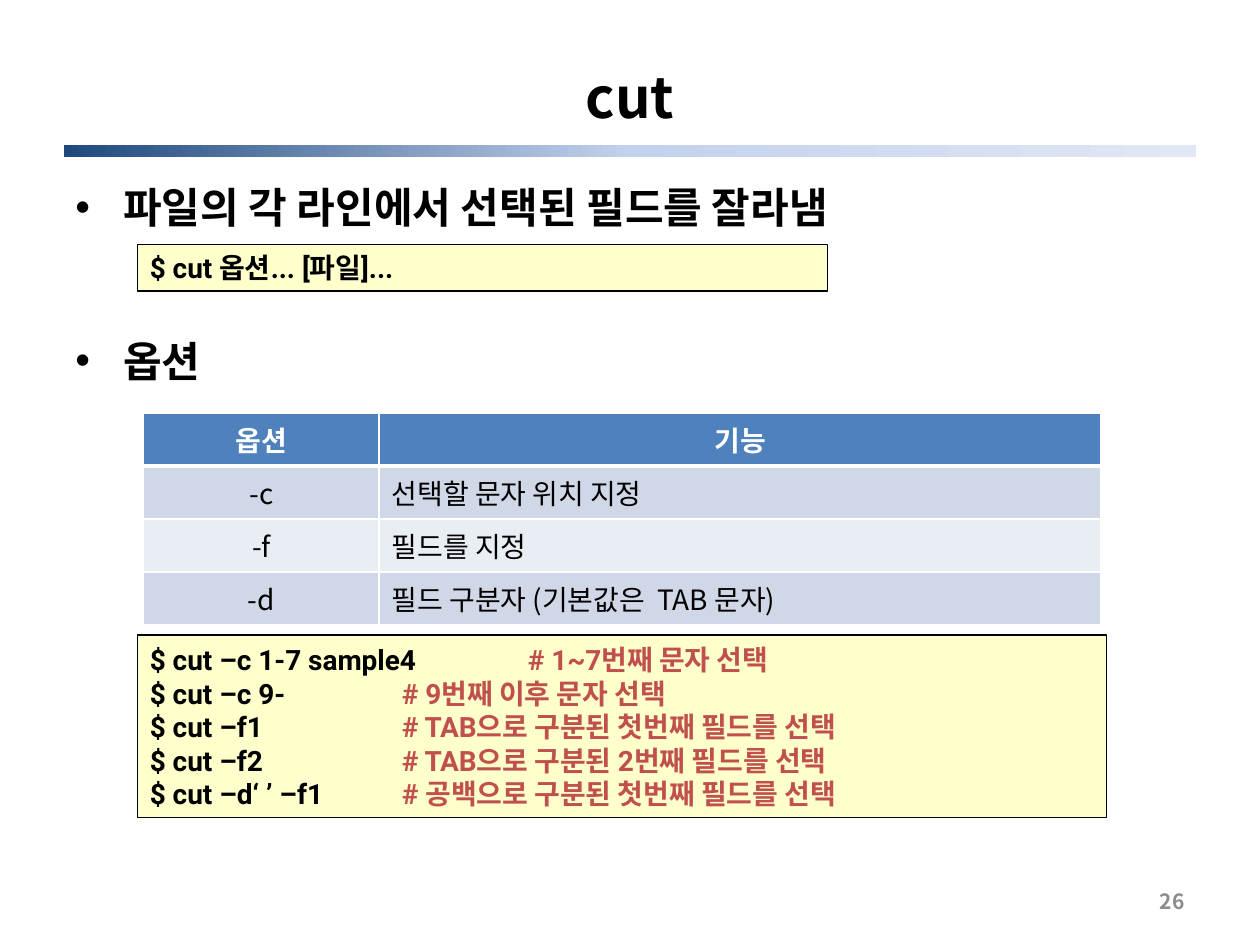
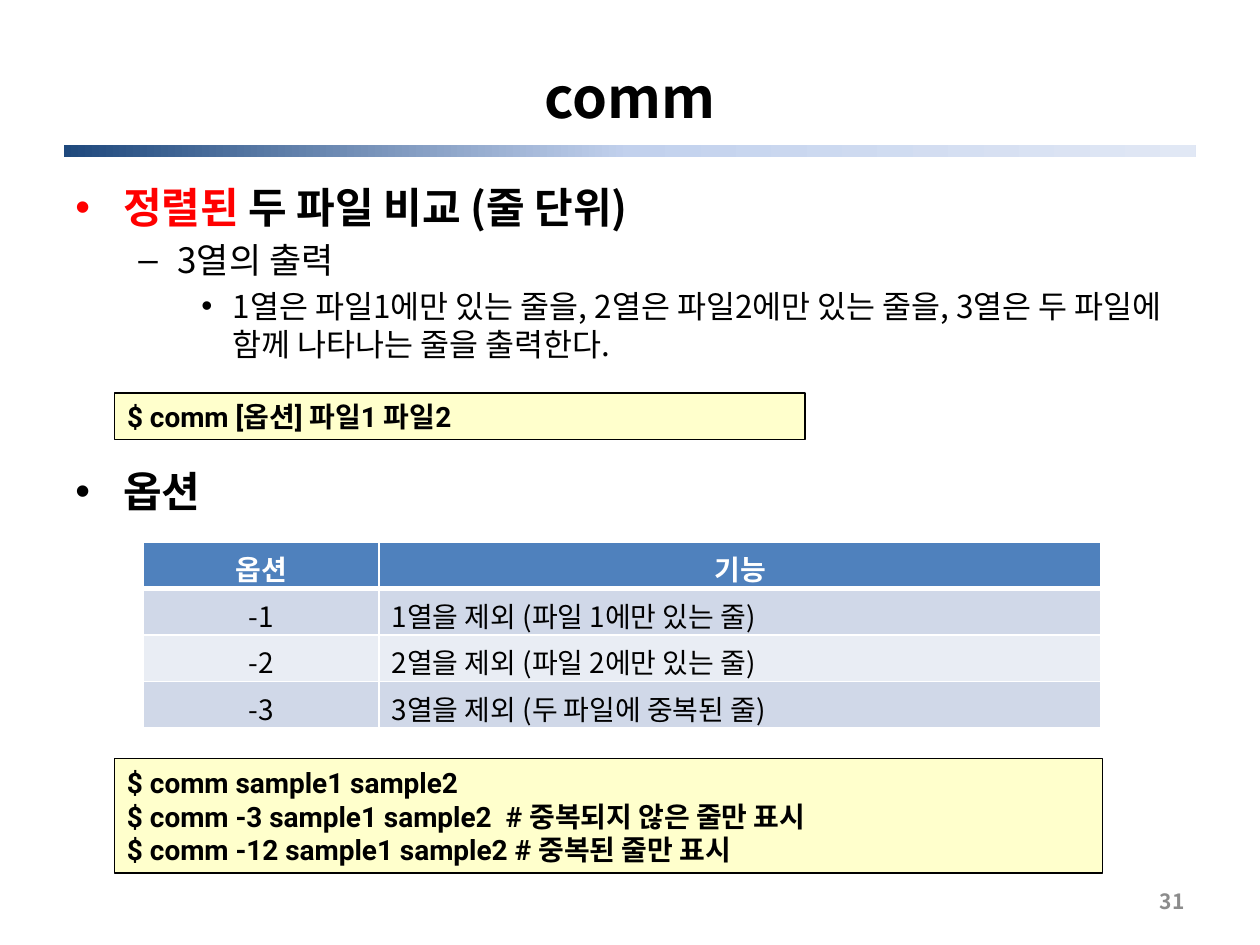
from lxml.etree import SubElement
from pptx import Presentation
from pptx.dml.color import RGBColor
from pptx.enum.shapes import MSO_SHAPE as Preset
from pptx.enum.text import MSO_ANCHOR as Anchor, PP_ALIGN as Align
from pptx.oxml import parse_xml
from pptx.oxml.ns import nsdecls, qn
from pptx.util import Inches, Pt

COLORS = {
    "text": "000000", "white": "FFFFFF", "alert": "FF0000", "comment": "C0504D",
    "code": "FFFFCC", "number": "8C8C8C", "header": "4F81BD",
    "odd_row": "D0D8E8", "even_row": "E9EDF4",
    "band_start": "1F497D", "band_middle": "C2D1ED", "band_end": "E1E8F5",
}
SANS, CODE = "Noto Sans CJK KR", "Roboto"
LEVELS = [
    {"margin": 0.38, "hang": 0.38, "size": 24, "bold": True, "mark": "•"},
    {"margin": 0.81, "hang": 0.31, "size": 20, "bold": False, "mark": "–"},
    {"margin": 1.25, "hang": 0.25, "size": 18, "bold": False, "mark": "•"},
]
SECTION_GAP = 59


def rgb(name):
    return RGBColor.from_string(COLORS[name])


class CommandDeck:
    def __init__(self):
        self.deck = Presentation()
        self.deck.slide_width, self.deck.slide_height = Inches(10), Inches(7.5)
        self.slide = None

    def start_slide(self, title, number):
        self.slide = self.deck.slides.add_slide(self.deck.slide_layouts[6])
        self.band()
        self.label(title, (0.5, 0.3, 9, 0.93), Align.CENTER, size=32)
        self.label(number, (7.17, 6.95, 2.33, 0.4), Align.RIGHT, size=12, color="number")

    def add_text(self, paragraph, text, size=16, color="text", bold=True, font=SANS):
        run = paragraph.add_run()
        run.text = text
        for name, value in {"name": font, "size": Pt(size), "bold": bold}.items():
            setattr(run.font, name, value)
        run.font.color.rgb = rgb(color)
        SubElement(run.font._element, qn("a:ea"), typeface=SANS)

    def frame(self, box, anchor):
        frame = self.slide.shapes.add_textbox(*map(Inches, box)).text_frame
        frame.word_wrap, frame.vertical_anchor = True, anchor
        return frame

    def label(self, text, box, align, **style):
        paragraph = self.frame(box, Anchor.MIDDLE).paragraphs[0]
        paragraph.alignment = align
        self.add_text(paragraph, text, **style)

    def rectangle(self, box):
        shape = self.slide.shapes.add_shape(Preset.RECTANGLE, *map(Inches, box))
        shape.shadow.inherit = False
        return shape

    def band(self):
        band = self.rectangle((0.51, 1.15, 8.98, 0.1))
        band.line.fill.background()
        band.fill.gradient()
        band.fill.gradient_angle = 0
        stops = band._element.spPr.find(qn("a:gradFill")).find(qn("a:gsLst"))
        for stop in list(stops):
            stops.remove(stop)
        for position, name in enumerate(("band_start", "band_middle", "band_end")):
            stop = SubElement(stops, qn("a:gs"), pos=str(position * 50000))
            SubElement(stop, qn("a:srgbClr"), val=COLORS[name])

    def bullets(self, items):
        frame = self.frame((0.5, 1.39, 9, 5.31), Anchor.TOP)
        for index, (depth, runs) in enumerate(items):
            level = LEVELS[depth]
            paragraph = frame.add_paragraph() if index else frame.paragraphs[0]
            if index:
                new_section = depth == 0
                paragraph.space_before = Pt(SECTION_GAP if new_section else level["size"] * 0.2)
            properties = paragraph._p.get_or_add_pPr()
            properties.set("marL", str(Inches(level["margin"])))
            properties.set("indent", str(-Inches(level["hang"])))
            SubElement(properties, qn("a:buFont"), typeface="Arial")
            SubElement(properties, qn("a:buChar"), char=level["mark"])
            for text, color in runs:
                self.add_text(paragraph, text, level["size"], color, level["bold"])

    def code(self, box, lines, tab_stops=()):
        panel = self.rectangle(box)
        panel.fill.solid()
        panel.fill.fore_color.rgb = rgb("code")
        panel.line.color.rgb, panel.line.width = rgb("text"), Pt(0.75)
        frame = panel.text_frame
        frame.word_wrap, frame.vertical_anchor = True, Anchor.MIDDLE
        for index, (command, comment) in enumerate(lines):
            paragraph = frame.add_paragraph() if index else frame.paragraphs[0]
            paragraph.alignment = Align.LEFT
            if tab_stops:
                stops = SubElement(paragraph._p.get_or_add_pPr(), qn("a:tabLst"))
                for stop in tab_stops:
                    SubElement(stops, qn("a:tab"), pos=str(Inches(stop)), algn="l")
            self.add_text(paragraph, command, font=CODE)
            if comment:
                self.add_text(paragraph, comment, color="comment", font=CODE)

    def borders(self, cell, top, bottom):
        properties = cell._tc.get_or_add_tcPr()
        for index, (side, width) in enumerate({"L": 1, "R": 1, "T": top, "B": bottom}.items()):
            properties.insert(index, parse_xml(
                f'<a:ln{side} {nsdecls("a")} w="{Pt(width)}"><a:solidFill>'
                f'<a:srgbClr val="{COLORS["white"]}"/></a:solidFill></a:ln{side}>'))

    def options(self, top, row_height, entries):
        rows = [("옵션", "기능"), *entries]
        table = self.slide.shapes.add_table(
            len(rows), 2, Inches(1.14), Inches(top), Inches(7.6),
            Inches(row_height * len(rows))).table
        for column, width in zip(table.columns, (1.87, 5.73)):
            column.width = Inches(width)
        for r, row in enumerate(rows):
            table.rows[r].height = Inches(row_height)
            fill = "header" if r == 0 else "odd_row" if r % 2 else "even_row"
            for c, text in enumerate(row):
                cell = table.cell(r, c)
                cell.vertical_anchor = Anchor.MIDDLE
                cell.fill.solid()
                cell.fill.fore_color.rgb = rgb(fill)
                self.borders(cell, 3 if r == 1 else 1, 3 if r == 0 else 1)
                paragraph = cell.text_frame.paragraphs[0]
                paragraph.alignment = Align.LEFT if r and c else Align.CENTER
                paragraph.space_before = Pt(3.2)
                self.add_text(paragraph, text, color="text" if r else "white", bold=r == 0)


def main():
    deck = CommandDeck()

    deck.start_slide("cut", "26")
    deck.bullets([
        (0, [("파일의 각 라인에서 선택된 필드를 잘라냄", "text")]),
        (0, [("옵션", "text")]),
    ])
    deck.options(3.28, 0.42, [
        ("-c", "선택할 문자 위치 지정"),
        ("-f", "필드를 지정"),
        ("-d", "필드 구분자 (기본값은  TAB 문자)"),
    ])
    deck.code((1.09, 1.94, 5.48, 0.37), [("$ cut 옵션... [파일]...", "")])
    deck.code((1.09, 5.04, 7.69, 1.45), [
        ("$ cut –c 1-7 sample4\t", "# 1~7번째 문자 선택"),
        ("$ cut –c 9-\t", "# 9번째 이후 문자 선택"),
        ("$ cut –f1\t", "# TAB으로 구분된 첫번째 필드를 선택"),
        ("$ cut –f2\t", "# TAB으로 구분된 2번째 필드를 선택"),
        ("$ cut –d‘ ’ –f1\t", "# 공백으로 구분된 첫번째 필드를 선택"),
    ], tab_stops=(2, 3))

    deck.start_slide("comm", "31")
    deck.bullets([
        (0, [("정렬된 ", "alert"), ("두 파일 비교 (줄 단위)", "text")]),
        (1, [("3열의 출력", "text")]),
        (2, [("1열은 파일1에만 있는 줄을, 2열은 파일2에만 있는 줄을, "
              "3열은 두 파일에 함께 나타나는 줄을 출력한다.", "text")]),
        (0, [("옵션", "text")]),
    ])
    deck.code((0.91, 3.12, 5.48, 0.37), [("$ comm [옵션] 파일1 파일2", "")])
    deck.code((0.91, 6.02, 7.84, 0.91), [
        ("$ comm sample1 sample2", ""),
        ("$ comm -3 sample1 sample2  # 중복되지 않은 줄만 표시", ""),
        ("$ comm -12 sample1 sample2 # 중복된 줄만 표시", ""),
    ])
    deck.options(4.3, 0.37, [
        ("-1", "1열을 제외 (파일 1에만 있는 줄)"),
        ("-2", "2열을 제외 (파일 2에만 있는 줄)"),
        ("-3", "3열을 제외 (두 파일에 중복된 줄)"),
    ])

    deck.deck.save("out.pptx")


if __name__ == "__main__":
    main()
